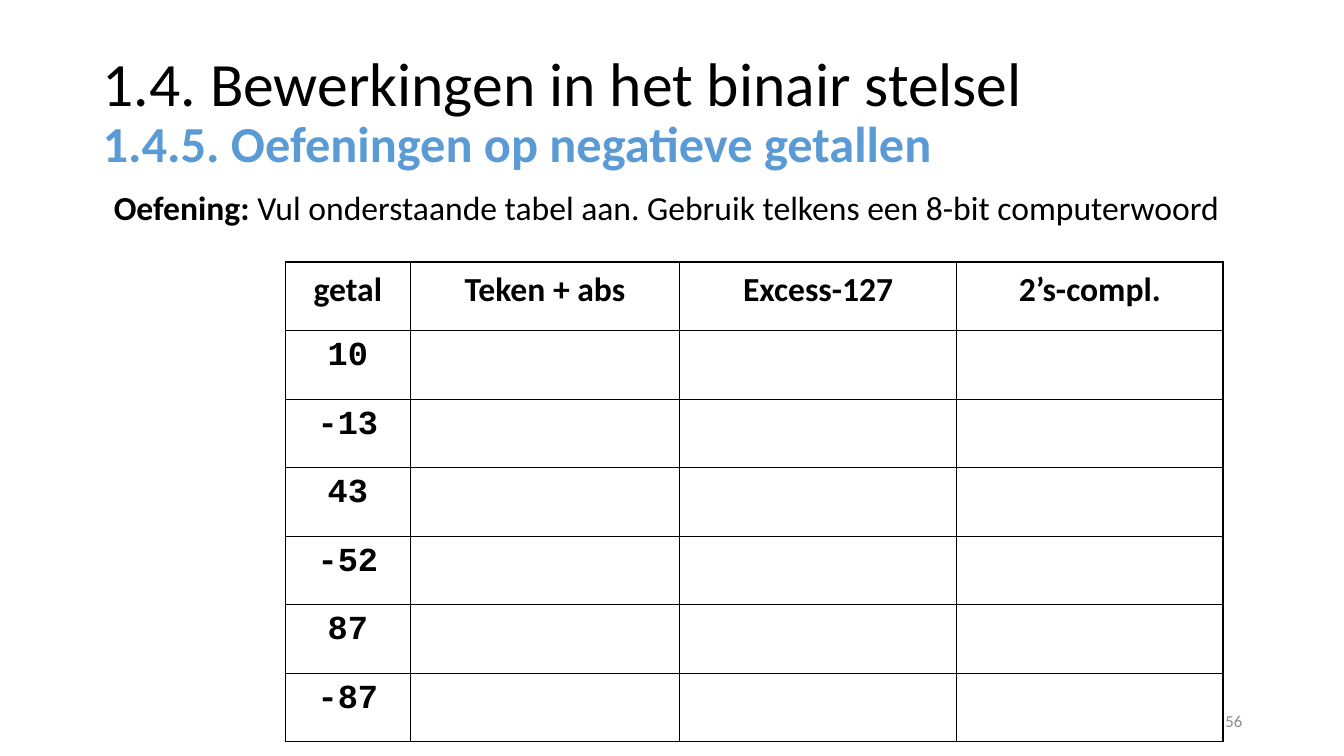
from lxml import etree
from pptx import Presentation
from pptx.dml.color import RGBColor
from pptx.enum.text import MSO_ANCHOR, PP_ALIGN
from pptx.oxml.ns import qn
from pptx.util import Inches, Pt

CENTER, RIGHT = PP_ALIGN.CENTER, PP_ALIGN.RIGHT
TOP, MIDDLE = MSO_ANCHOR.TOP, MSO_ANCHOR.MIDDLE

BLACK, WHITE, BLUE, GRAY = "000000", "FFFFFF", "5B9BD5", "8C8C8C"
HEADERS = ["getal", "Teken + abs", "Excess-127", "2’s-compl."]
NUMBERS = ["10", "-13", "43", "-52", "87", "-87"]
COLUMN_WIDTHS = [1.24, 2.67, 2.75, 2.64]
ROW_HEIGHT = 0.68


def color(hex_code):
    return RGBColor.from_string(hex_code)


def add_text(paragraph, text, size=24, font="Calibri", fill=BLACK, bold=False):
    run = paragraph.add_run()
    run.text = text
    run.font.size = Pt(size)
    run.font.name = font
    run.font.bold = bold
    run.font.color.rgb = color(fill)


def add_text_box(slide, left, top, width, height, anchor=TOP):
    """Add a wrapping text box and return its first paragraph."""
    shape = slide.shapes.add_textbox(
        Inches(left), Inches(top), Inches(width), Inches(height))
    frame = shape.text_frame
    frame.word_wrap = True
    frame.vertical_anchor = anchor
    return frame.paragraphs[0]


def set_borders(cell):
    properties = cell._tc.get_or_add_tcPr()
    for side in ("lnL", "lnR", "lnT", "lnB"):
        line = etree.SubElement(properties, qn(f"a:{side}"), w=str(Pt(1)))
        fill = etree.SubElement(line, qn("a:solidFill"))
        etree.SubElement(fill, qn("a:srgbClr"), val=BLACK)


def format_cell(cell, text, font, fill):
    set_borders(cell)
    cell.margin_left = cell.margin_right = Inches(0.13)
    cell.margin_top = cell.margin_bottom = Inches(0.07)
    if fill:
        cell.fill.solid()
        cell.fill.fore_color.rgb = color(fill)
    else:
        cell.fill.background()
    if text:
        paragraph = cell.text_frame.paragraphs[0]
        paragraph.alignment = CENTER
        add_text(paragraph, text, font=font, bold=True)


def add_exercise_table(slide):
    rows = [HEADERS] + [[number, "", "", ""] for number in NUMBERS]
    table = slide.shapes.add_table(
        len(rows), len(HEADERS), Inches(2.83), Inches(2.6),
        Inches(sum(COLUMN_WIDTHS)), Inches(ROW_HEIGHT * len(rows))).table
    table.horz_banding = False
    for column, width in zip(table.columns, COLUMN_WIDTHS):
        column.width = Inches(width)
    for row_index, texts in enumerate(rows):
        table.rows[row_index].height = Inches(ROW_HEIGHT)
        font, fill = ("Courier New", None) if row_index else ("Calibri", WHITE)
        for column_index, text in enumerate(texts):
            format_cell(table.cell(row_index, column_index), text, font, fill)


def main():
    presentation = Presentation()
    presentation.slide_width = Inches(13.33)
    presentation.slide_height = Inches(7.5)
    slide = presentation.slides.add_slide(presentation.slide_layouts[6])

    title = add_text_box(slide, 0.92, 0.4, 11.5, 1.45, MIDDLE)
    title.line_spacing = 0.9
    add_text(title, "1.4. Bewerkingen in het binair stelsel", size=44)
    title.add_line_break()
    add_text(title, "1.4.5. Oefeningen op negatieve getallen",
             size=36, fill=BLUE, bold=True)

    task = add_text_box(slide, 1.03, 1.85, 11.85, 5.4)
    task.line_spacing = 0.9
    add_text(task, "Oefening: ", bold=True)
    add_text(task, "Vul onderstaande tabel aan. "
                   "Gebruik telkens een 8-bit computerwoord")

    add_exercise_table(slide)

    page_number = add_text_box(slide, 9.42, 6.95, 3, 0.4, MIDDLE)
    page_number.alignment = RIGHT
    add_text(page_number, "56", size=12, fill=GRAY)

    presentation.save("out.pptx")


if __name__ == "__main__":
    main()
